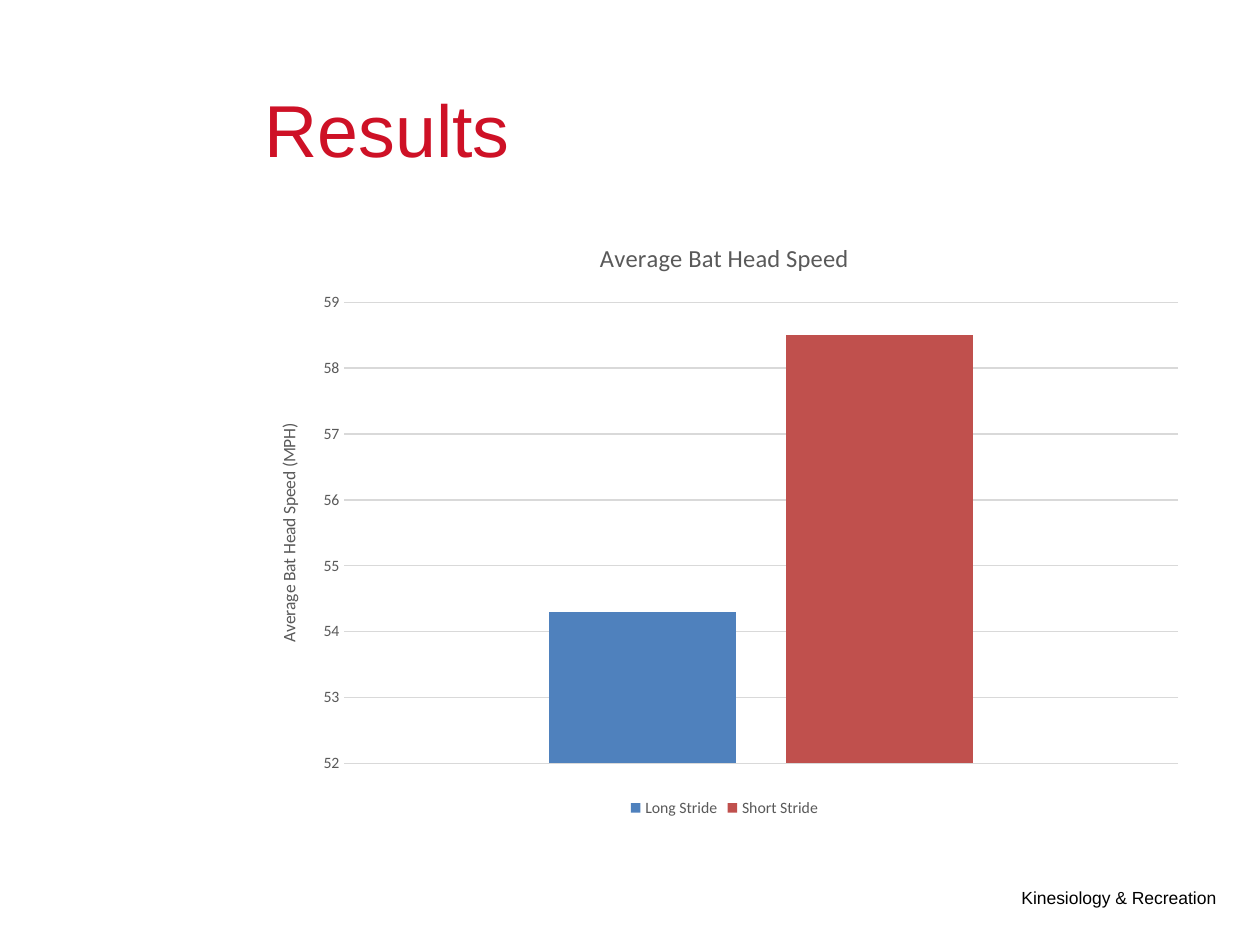
from dataclasses import dataclass

from pptx import Presentation
from pptx.chart.data import CategoryChartData
from pptx.dml.color import RGBColor
from pptx.enum.chart import XL_CHART_TYPE, XL_LEGEND_POSITION, XL_TICK_MARK
from pptx.enum.text import MSO_ANCHOR, PP_ALIGN
from pptx.util import Inches, Pt

COLUMNS = XL_CHART_TYPE.COLUMN_CLUSTERED
LEGEND_BOTTOM = XL_LEGEND_POSITION.BOTTOM
NO_TICKS = XL_TICK_MARK.NONE
MIDDLE = MSO_ANCHOR.MIDDLE
LEFT, RIGHT = PP_ALIGN.LEFT, PP_ALIGN.RIGHT
TITLE_ONLY = 5


@dataclass(frozen=True)
class Theme:
    heading_font: str = "Arial"
    chart_font: str = "Calibri"
    title: str = "CE1126"
    footer: str = "000000"
    chart_text: str = "595959"
    grid: str = "D9D9D9"
    series: tuple = ("4F81BD", "C0504D")
    title_size: int = 42
    footer_size: int = 10
    chart_title_size: int = 14
    axis_title_size: int = 10
    label_size: int = 9


def format_font(font, name, size, color):
    font.name = name
    font.size = Pt(size)
    font.bold = False
    font.color.rgb = RGBColor.from_string(color)


def write_text(frame, text, *, font, size, color, align=None):
    para = frame.paragraphs[0]
    if align is not None:
        para.alignment = align
    span = para.add_run()
    span.text = text
    format_font(span.font, font, size, color)


class SlideBuilder:
    def __init__(self, deck, theme):
        self.deck = deck
        self.theme = theme
        self.page = deck.slides.add_slide(deck.slide_layouts[TITLE_ONLY])

    def area(self, left, top, width, height):
        wide, high = self.deck.slide_width, self.deck.slide_height
        return int(left * wide), int(top * high), int(width * wide), int(height * high)

    def title(self, text, *shares):
        box = self.page.shapes.title
        box.left, box.top, box.width, box.height = self.area(*shares)
        box.text_frame.vertical_anchor = MIDDLE
        write_text(box.text_frame, text, font=self.theme.heading_font,
                   size=self.theme.title_size, color=self.theme.title, align=LEFT)

    def footer(self, text, *shares):
        box = self.page.shapes.add_textbox(*self.area(*shares))
        box.text_frame.word_wrap = True
        box.text_frame.vertical_anchor = MIDDLE
        write_text(box.text_frame, text, font=self.theme.heading_font,
                   size=self.theme.footer_size, color=self.theme.footer, align=RIGHT)

    def column_chart(self, heading, axis_heading, category, values, *shares):
        theme = self.theme
        data = CategoryChartData()
        data.categories = [category]
        for name, value in values.items():
            data.add_series(name, [value])
        chart = self.page.shapes.add_chart(COLUMNS, *self.area(*shares), data).chart
        format_font(chart.font, theme.chart_font, theme.label_size, theme.chart_text)
        chart.has_title = True
        write_text(chart.chart_title.text_frame, heading, font=theme.chart_font,
                   size=theme.chart_title_size, color=theme.chart_text)
        chart.chart_title.include_in_layout = False
        chart.has_legend = True
        chart.legend.position = LEGEND_BOTTOM
        chart.legend.include_in_layout = False

        chart.category_axis.visible = False
        axis = chart.value_axis
        axis.minimum_scale, axis.maximum_scale, axis.major_unit = 52, 59, 1
        axis.major_tick_mark = axis.minor_tick_mark = NO_TICKS
        axis.format.line.fill.background()
        grid_line = axis.major_gridlines.format.line
        grid_line.color.rgb = RGBColor.from_string(theme.grid)
        grid_line.width = Pt(0.75)
        write_text(axis.axis_title.text_frame, axis_heading, font=theme.chart_font,
                   size=theme.axis_title_size, color=theme.chart_text)

        plot = chart.plots[0]
        plot.gap_width, plot.overlap = 219, -27
        plot.vary_by_categories = False
        for series, color in zip(plot.series, theme.series):
            series.format.fill.solid()
            series.format.fill.fore_color.rgb = RGBColor.from_string(color)


def main():
    deck = Presentation()
    deck.slide_width, deck.slide_height = Inches(10), Inches(7.5)
    builder = SlideBuilder(deck, Theme())
    builder.footer("Kinesiology & Recreation", 0.54, 0.93, 0.435, 0.04)
    builder.title("Results", 0.2, 0.06, 0.75, 0.15)
    builder.column_chart(
        "Average Bat Head Speed", "Average Bat Head Speed (MPH)", "1",
        {"Long Stride": 54.3, "Short Stride": 58.5},
        0.2, 0.23, 0.75, 0.64)
    deck.save("out.pptx")


if __name__ == "__main__":
    main()
